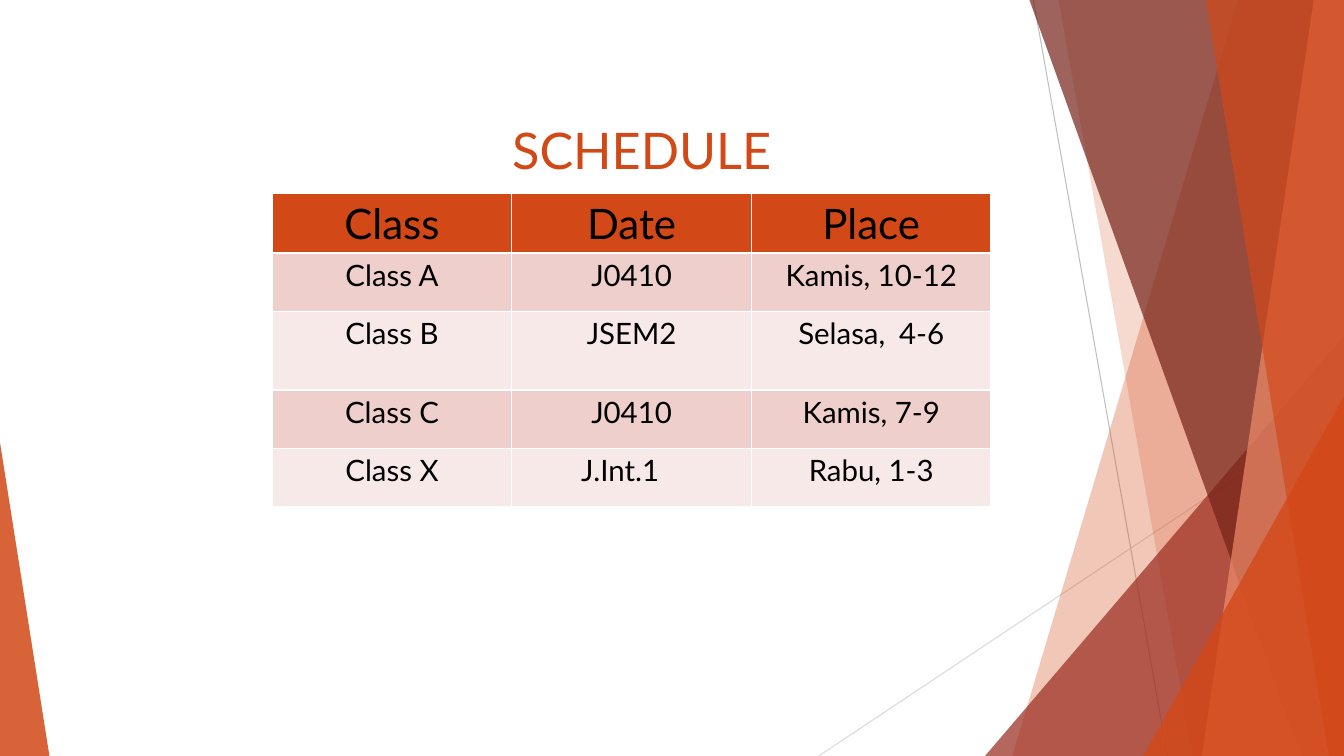
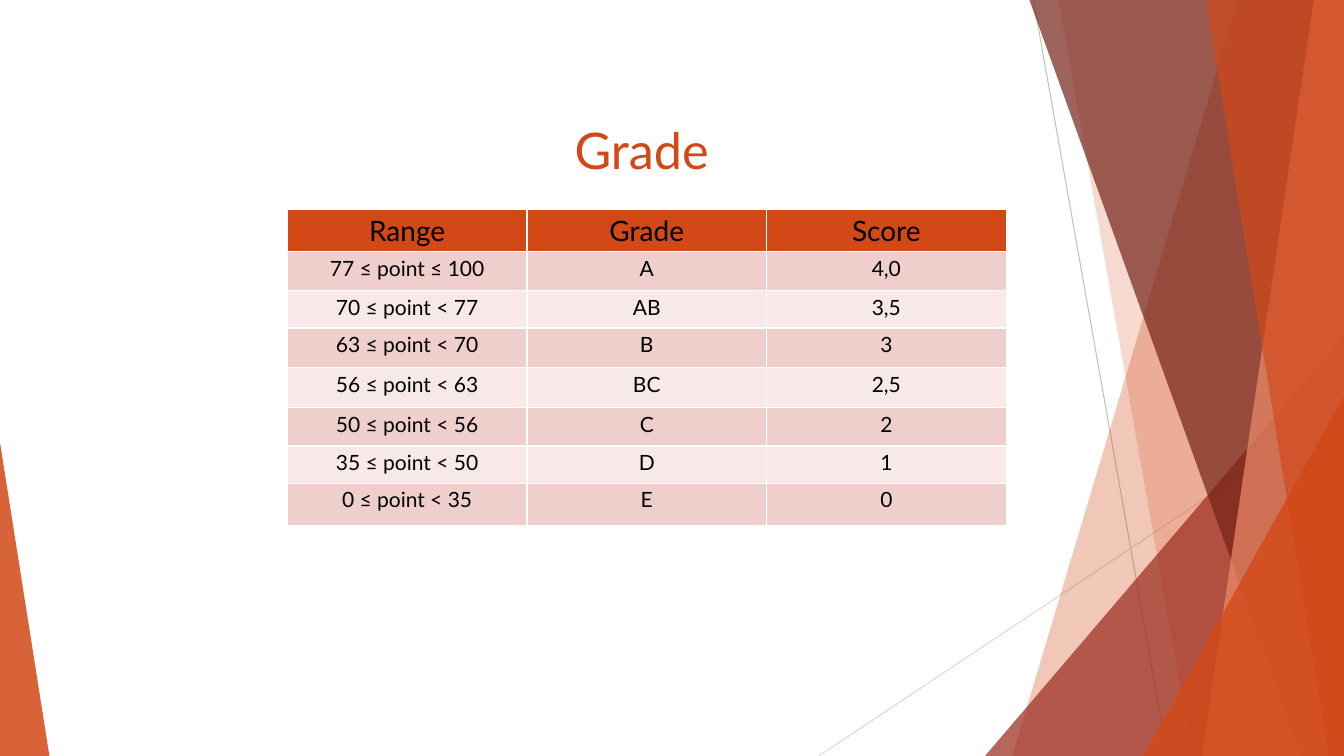
from dataclasses import dataclass
from typing import Any

from lxml.etree import SubElement
from pptx import Presentation
from pptx.dml.color import RGBColor
from pptx.enum.shapes import MSO_CONNECTOR, MSO_SHAPE
from pptx.enum.text import MSO_ANCHOR, PP_ALIGN
from pptx.oxml.ns import qn
from pptx.util import Inches, Pt

ORANGE = RGBColor(0xD3, 0x48, 0x17)
RED = RGBColor(0x9B, 0x2D, 0x1F)
MAROON = RGBColor(0x74, 0x22, 0x17)
SALMON = RGBColor(0xEF, 0x8C, 0x6A)
GREY = RGBColor(0xBF, 0xBF, 0xBF)
LIGHT_GREY = RGBColor(0xD9, 0xD9, 0xD9)
BLACK = RGBColor(0, 0, 0)
WHITE = RGBColor(0xFF, 0xFF, 0xFF)
BANDS = (RGBColor(0xEF, 0xCF, 0xCC), RGBColor(0xF7, 0xE9, 0xE8))

FONT = "Lato"
SLIDE_WIDTH, SLIDE_HEIGHT = 13.33, 7.5
TABLE_WIDTH = 7.13
TITLE_BOX = {"left": Inches(2.1), "top": Inches(1.13), "width": Inches(8.53), "height": Inches(0.94)}
TITLE_FRAME = {"vertical_anchor": MSO_ANCHOR.TOP, "word_wrap": True}
CELL_MARGINS = {
    "margin_left": Inches(0.07),
    "margin_right": Inches(0.07),
    "margin_top": Inches(0.04),
    "margin_bottom": Inches(0.04),
}


@dataclass(frozen=True)
class Ray:
    start: tuple[float, float]
    end: tuple[float, float]
    color: RGBColor


@dataclass(frozen=True)
class Band:
    top_x: float
    bottom_x: float
    color: RGBColor
    opacity: int


@dataclass(frozen=True)
class Corner:
    left: float
    top: float
    width: float
    apex: float
    color: RGBColor
    opacity: int


@dataclass(frozen=True)
class TableSlide:
    title: str
    left: float
    top: float
    row_heights: tuple[float, ...]
    header_size: int
    body_size: int
    rows: tuple[tuple[str, ...], ...]


RAYS = (
    Ray((10.25, 0), (11.58, SLIDE_HEIGHT), GREY),
    Ray((SLIDE_WIDTH, 4.03), (8.12, SLIDE_HEIGHT), LIGHT_GREY),
)
FACETS = (
    Band(12.28, 10.04, ORANGE, 30),
    Band(10.5, 11.83, ORANGE, 20),
    Corner(9.77, 3.33, 3.56, 1, RED, 72),
    Band(10.21, 12.91, MAROON, 70),
    Band(13.03, 11.92, SALMON, 70),
    Band(11.96, 13.18, ORANGE, 65),
    Corner(11.34, 3.93, 1.99, 1, ORANGE, 80),
    Corner(0, 4.39, 0.49, 0, ORANGE, 85),
)
SLIDES = (
    TableSlide(
        "SCHEDULE", 2.7, 1.92, (0.59, 0.58, 0.78, 0.58, 0.58), 30, 21,
        (
            ("Class", "Date", "Place"),
            ("Class A", "J0410", "Kamis, 10-12"),
            ("Class B", "JSEM2", "Selasa,\t4-6"),
            ("Class C", "J0410", "Kamis, 7-9"),
            ("Class X", "J.Int.1\t", "Rabu, 1-3"),
        ),
    ),
    TableSlide(
        "Grade", 2.85, 2.08, (0.4, 0.39, 0.37, 0.39, 0.4, 0.38, 0.37, 0.42), 20, 15,
        (
            ("Range", "Grade", "Score"),
            ("77 ≤ point ≤ 100", "A", "4,0"),
            ("70 ≤ point < 77", "AB", "3,5"),
            ("63 ≤ point < 70", "B", "3"),
            ("56 ≤ point < 63", "BC", "2,5"),
            ("50 ≤ point < 56", "C", "2"),
            ("35 ≤ point < 50", "D", "1"),
            ("0 ≤ point < 35", "E", "0"),
        ),
    ),
)


def apply(target: Any, values: dict[str, Any]) -> None:
    for name, value in values.items():
        setattr(target, name, value)


def write(frame: Any, text: str, size: int, color: RGBColor) -> None:
    paragraph = frame.paragraphs[0]
    paragraph.alignment = PP_ALIGN.CENTER
    run = paragraph.add_run()
    run.text = text
    apply(run.font, {"name": FONT, "size": Pt(size), "bold": False})
    run.font.color.rgb = color


def draw_ray(shapes: Any, ray: Ray) -> None:
    ends = [Inches(value) for value in (*ray.start, *ray.end)]
    connector = shapes.add_connector(MSO_CONNECTOR.STRAIGHT, *ends)
    connector.line.color.rgb = ray.color
    connector.line.width = Pt(0.75)
    SubElement(connector.element.spPr, qn("a:effectLst"))


def outline_band(shapes: Any, band: Band) -> Any:
    right, bottom = Inches(SLIDE_WIDTH), Inches(SLIDE_HEIGHT)
    builder = shapes.build_freeform(Inches(band.top_x), 0)
    builder.add_line_segments([(right, 0), (right, bottom), (Inches(band.bottom_x), bottom)])
    return builder.convert_to_shape()


def outline_corner(shapes: Any, corner: Corner) -> Any:
    box = (corner.left, corner.top, corner.width, SLIDE_HEIGHT - corner.top)
    triangle = shapes.add_shape(MSO_SHAPE.ISOSCELES_TRIANGLE, *map(Inches, box))
    triangle.adjustments[0] = corner.apex
    return triangle


def draw_facet(shapes: Any, facet: Band | Corner) -> None:
    outline = outline_band if isinstance(facet, Band) else outline_corner
    shape = outline(shapes, facet)
    shape.shadow.inherit = False
    shape.line.fill.background()
    shape.fill.solid()
    shape.fill.fore_color.rgb = facet.color
    fill_color = next(shape.element.spPr.iter(qn("a:srgbClr")))
    SubElement(fill_color, qn("a:alpha"), val=str(facet.opacity * 1000))


def decorate_layout(layout: Any, slide: Any) -> None:
    for placeholder in list(layout.placeholders)[1:]:
        layout.shapes.element.remove(placeholder.element)
    backdrop = slide.shapes.add_group_shape()
    for ray in RAYS:
        draw_ray(backdrop.shapes, ray)
    for facet in FACETS:
        draw_facet(backdrop.shapes, facet)
    layout.shapes.element.append(backdrop.element)


def add_borders(cell: Any) -> None:
    properties = cell._tc.get_or_add_tcPr()
    for side in ("lnL", "lnR", "lnT", "lnB"):
        border = SubElement(properties, qn(f"a:{side}"), w=str(Pt(1)))
        fill = SubElement(border, qn("a:solidFill"))
        SubElement(fill, qn("a:srgbClr"), val=str(WHITE))


def format_cell(cell: Any, text: str, size: int, color: RGBColor) -> None:
    apply(cell, CELL_MARGINS)
    add_borders(cell)
    cell.fill.solid()
    cell.fill.fore_color.rgb = color
    write(cell.text_frame, text, size, BLACK)


def draw_table(slide: Any, content: TableSlide) -> None:
    columns = len(content.rows[0])
    box = (content.left, content.top, TABLE_WIDTH, sum(content.row_heights))
    table = slide.shapes.add_table(len(content.rows), columns, *map(Inches, box)).table
    for row_index, (height, texts) in enumerate(zip(content.row_heights, content.rows)):
        table.rows[row_index].height = Inches(height)
        is_header = row_index == 0
        size = content.header_size if is_header else content.body_size
        color = ORANGE if is_header else BANDS[(row_index - 1) % 2]
        for column_index, text in enumerate(texts):
            format_cell(table.cell(row_index, column_index), text, size, color)


def draw_title(slide: Any, text: str) -> None:
    title = slide.shapes.title
    apply(title, TITLE_BOX)
    apply(title.text_frame, TITLE_FRAME)
    write(title.text_frame, text, 36, ORANGE)


def main() -> None:
    presentation = Presentation()
    apply(presentation, {"slide_width": Inches(SLIDE_WIDTH), "slide_height": Inches(SLIDE_HEIGHT)})
    layout = presentation.slide_layouts[5]
    for index, content in enumerate(SLIDES):
        slide = presentation.slides.add_slide(layout)
        if index == 0:
            decorate_layout(layout, slide)
        draw_title(slide, content.title)
        draw_table(slide, content)
    presentation.save("out.pptx")


if __name__ == "__main__":
    main()
